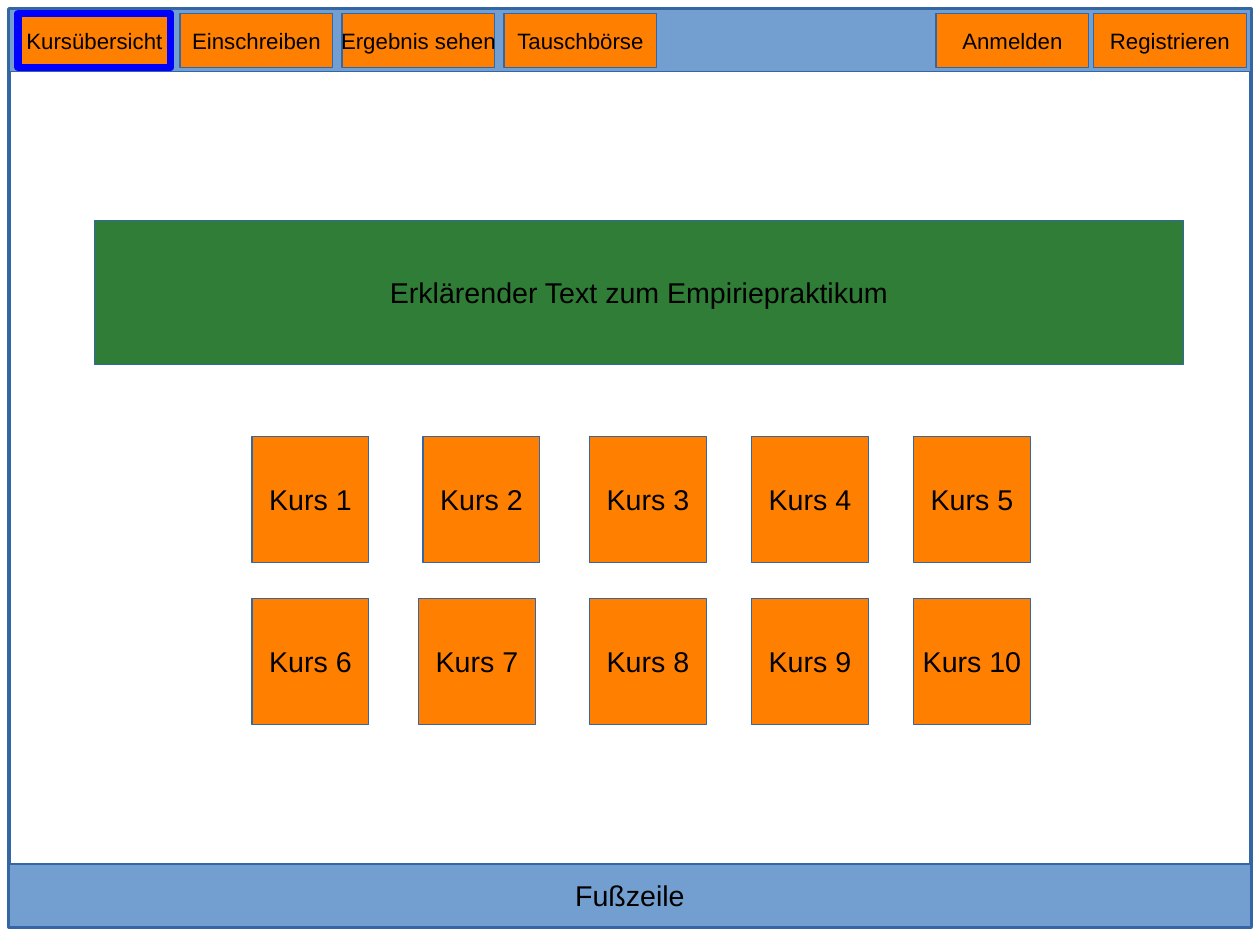
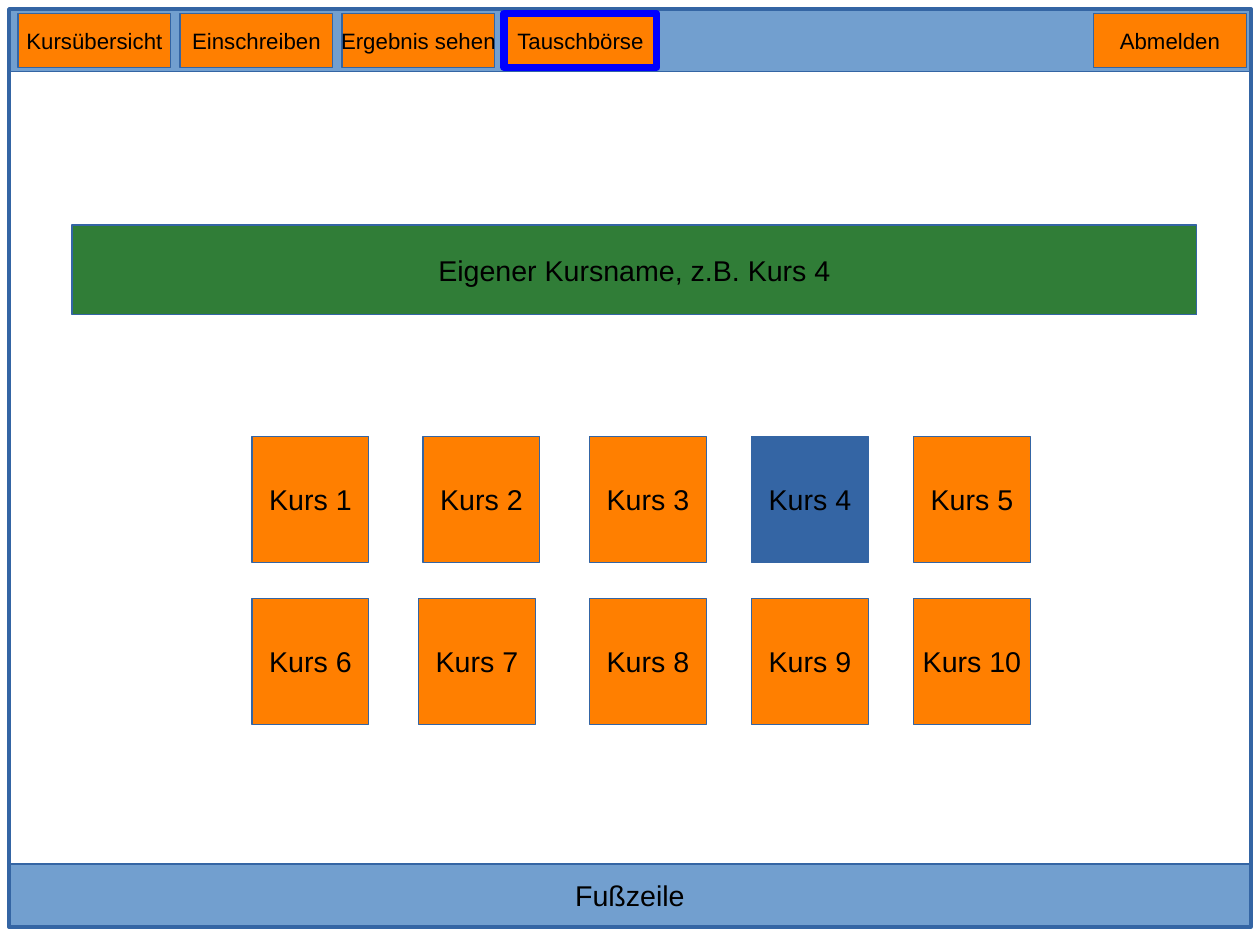
from dataclasses import dataclass

from pptx import Presentation
from pptx.dml.color import RGBColor
from pptx.enum.shapes import MSO_SHAPE
from pptx.enum.text import MSO_ANCHOR, PP_ALIGN
from pptx.slide import Slide
from pptx.util import Pt

RECT = MSO_SHAPE.RECTANGLE
MIDDLE = MSO_ANCHOR.MIDDLE
CENTER = PP_ALIGN.CENTER

# Shared style
FONT = "Arial"
BLACK, ORANGE, GREEN = "000000", "FF7F00", "307D37"
BAND, OUTLINE, ACTIVE = "729FCF", "3465A4", "0000FF"
BODY_SIZE, MENU_SIZE = 18, 14
HAIRLINE, FRAME_LINE, ACTIVE_LINE = 0, 2.3, 4.5

# Shared layout, in points
SLIDE_W, SLIDE_H = 793.7, 595.28
MARGIN, FRAME_W, FRAME_H = 5.67, 782.36, 578.27
BAND_H = 39.69
BUTTON_Y, BUTTON_W, BUTTON_H = 8.5, 96.38, 34.02
MENU_X, MENU_STEP = 11.34, 102.05
ACCOUNT_X, ACCOUNT_STEP = 688.82, 99.21
TILE_W, TILE_H = 73.7, 79.37
TILE_ROWS = (
    (274.96, (158.74, 266.46, 371.34, 473.39, 575.43)),
    (377.01, (158.74, 263.62, 371.34, 473.39, 575.43)),
)
MENU = ("Kursübersicht", "Einschreiben", "Ergebnis sehen", "Tauschbörse")


@dataclass(frozen=True)
class Box:
    x: float
    y: float
    w: float
    h: float
    fill: str | None = None
    text: str = ""
    size: float = BODY_SIZE
    line: str = OUTLINE
    line_w: float = HAIRLINE


@dataclass(frozen=True)
class Page:
    banner: Box
    active: str
    account: tuple[str, ...]  # from the right edge inwards
    own_course: int | None = None
    frame_on_top: bool = False


PAGES = (
    Page(Box(59.53, 138.9, 685.98, 90.71, GREEN,
             "Erklärender Text zum Empiriepraktikum"),
         active="Kursübersicht", account=("Registrieren", "Anmelden")),
    Page(Box(45.35, 141.73, 708.66, 56.69, GREEN,
             "Eigener Kursname, z.B. Kurs 4"),
         active="Tauschbörse", account=("Abmelden",),
         own_course=4, frame_on_top=True),
)


def rgb(color: str) -> RGBColor:
    return RGBColor.from_string(color)


def draw_box(s: Slide, box: Box) -> None:
    sp = s.shapes.add_shape(RECT, Pt(box.x), Pt(box.y), Pt(box.w), Pt(box.h))
    sp.shadow.inherit = False
    if box.fill:
        sp.fill.solid()
        sp.fill.fore_color.rgb = rgb(box.fill)
    else:
        sp.fill.background()
    sp.line.color.rgb = rgb(box.line)
    sp.line.width = Pt(box.line_w)
    if not box.text:
        return
    tf = sp.text_frame
    tf.word_wrap = False
    tf.vertical_anchor = MIDDLE
    p = tf.paragraphs[0]
    p.alignment = CENTER
    r = p.add_run()
    r.text = box.text
    r.font.name = FONT
    r.font.size = Pt(box.size)
    r.font.color.rgb = rgb(BLACK)


def draw_chrome(s: Slide, frame_on_top: bool) -> None:
    frame = Box(MARGIN, MARGIN, FRAME_W, FRAME_H, line_w=FRAME_LINE)
    footer_y = MARGIN + FRAME_H - BAND_H
    bands = [Box(MARGIN, MARGIN, FRAME_W, BAND_H, BAND),
             Box(MARGIN, footer_y, FRAME_W, BAND_H, BAND, "Fußzeile")]
    for box in bands + [frame] if frame_on_top else [frame] + bands:
        draw_box(s, box)


def draw_button(s: Slide, x: float, text: str, active: bool = False) -> None:
    draw_box(s, Box(x, BUTTON_Y, BUTTON_W, BUTTON_H, ORANGE, text, MENU_SIZE,
                    ACTIVE if active else OUTLINE,
                    ACTIVE_LINE if active else HAIRLINE))


def draw_courses(s: Slide, own_course: int | None) -> None:
    number = 0
    for y, columns in TILE_ROWS:
        for x in columns:
            number += 1
            fill = OUTLINE if number == own_course else ORANGE
            draw_box(s, Box(x, y, TILE_W, TILE_H, fill, f"Kurs {number}"))


def draw_page(s: Slide, page: Page) -> None:
    draw_chrome(s, page.frame_on_top)
    draw_box(s, page.banner)
    # Navigation on the left, account buttons on the right
    for i, text in enumerate(MENU):
        draw_button(s, MENU_X + i * MENU_STEP, text, text == page.active)
    for i, text in enumerate(page.account):
        draw_button(s, ACCOUNT_X - i * ACCOUNT_STEP, text)
    draw_courses(s, page.own_course)


def main() -> None:
    prs = Presentation()
    prs.slide_width, prs.slide_height = Pt(SLIDE_W), Pt(SLIDE_H)
    blank = prs.slide_layouts[6]
    for page in PAGES:
        draw_page(prs.slides.add_slide(blank), page)
    prs.save("out.pptx")


if __name__ == "__main__":
    main()
